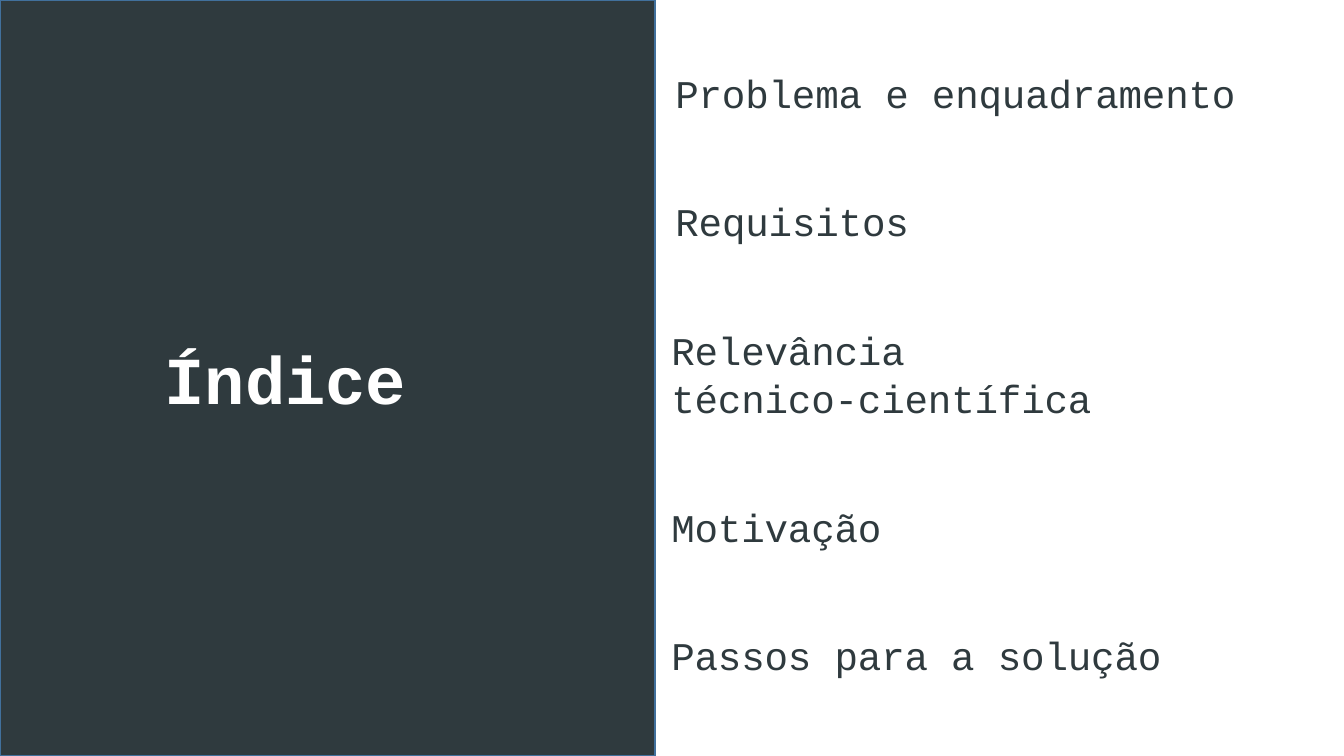
from pptx import Presentation
from pptx.dml.color import RGBColor
from pptx.enum.shapes import MSO_SHAPE
from pptx.enum.text import MSO_ANCHOR, MSO_AUTO_SIZE, PP_ALIGN
from pptx.util import Inches, Pt

RECT = MSO_SHAPE.RECTANGLE
TOP = MSO_ANCHOR.TOP
LEFT = PP_ALIGN.LEFT
FIT = MSO_AUTO_SIZE.SHAPE_TO_FIT_TEXT

SLATE = RGBColor(0x2F, 0x3A, 0x3E)
BLUE = RGBColor(0x41, 0x70, 0x9C)
WHITE = RGBColor(0xFF, 0xFF, 0xFF)

GRID = 100  # columns and rows across the slide
STEP = 17  # rows from one topic to the next
LINE = 6.4  # rows taken by one line of a topic

FRAME = {"margin_left": 0, "margin_right": 0, "margin_bottom": 0,
         "margin_top": Inches(0.01), "word_wrap": True,
         "vertical_anchor": TOP, "auto_size": FIT}
HEAD = {"size": Pt(48), "bold": True}
BODY = {"size": Pt(28), "bold": False}

# lines of the topic, left column, width in columns, line spacing
TOPICS = [
    (["Problema e enquadramento"], 50.25, 42.2, Pt(33.5)),
    (["Requisitos"], 50.25, 31.7, 1.0),
    (["Relevância", "técnico-científica"], 49.95, 38.8, 1.0),
    (["Motivação"], 49.95, 42.5, 1.0),
    (["Passos para a solução"], 49.95, 44.8, Pt(33.5)),
]


def apply(item, values):
    for key, value in values.items():
        setattr(item, key, value)


class Page:
    def __init__(self, deck):
        self.wide, self.high = deck.slide_width, deck.slide_height
        self.shapes = deck.slides.add_slide(deck.slide_layouts[5]).shapes
        self.font = "Courier New"

    def box(self, col, row, cols, rows):
        """Turn grid columns and rows into slide lengths."""
        return (int(self.wide * col / GRID), int(self.high * row / GRID),
                int(self.wide * cols / GRID), int(self.high * rows / GRID))

    def panel(self, *cells):
        """Draw the dark panel behind the title."""
        shape = self.shapes.add_shape(RECT, *self.box(*cells))
        shape.shadow.inherit = False
        shape.fill.solid()
        shape.fill.fore_color.rgb = SLATE
        shape.line.color.rgb = BLUE
        shape.line.width = Pt(0.96)
        self.shapes.title.element.addprevious(shape.element)

    def fill(self, shape, cells, lines, style, color, space):
        """Place a text shape and set its lines, one paragraph each."""
        shape.left, shape.top, shape.width, shape.height = self.box(*cells)
        frame = shape.text_frame
        frame.text = "\n".join(lines)
        apply(frame, FRAME)
        for para in frame.paragraphs:
            apply(para, {"alignment": LEFT, **space})
            run = para.runs[0]
            apply(run.font, {"name": self.font, **style})
            run.font.color.rgb = color
            run._r.get_or_add_rPr().set("spc", "-10")

    def title(self, text, *cells):
        space = {"space_before": Pt(1), "line_spacing": 1.0}
        self.fill(self.shapes.title, cells, [text], HEAD, WHITE, space)

    def topic(self, lines, cells, pitch):
        shape = self.shapes.add_textbox(0, 0, 0, 0)
        space = {"space_before": Pt(0.9), "line_spacing": pitch}
        self.fill(shape, cells, lines, BODY, SLATE, space)


def main():
    deck = Presentation()
    deck.slide_width, deck.slide_height = Inches(13.33), Inches(7.5)
    page = Page(deck)
    page.panel(0, 0, 48.75, 100)
    page.title("Índice", 12.25, 44.5, 24.2, 11)
    row = 9
    for lines, col, cols, pitch in TOPICS:
        rows = LINE * len(lines)
        page.topic(lines, (col, row, cols, rows), pitch)
        row += STEP - LINE + rows
    deck.save("out.pptx")


if __name__ == "__main__":
    main()
